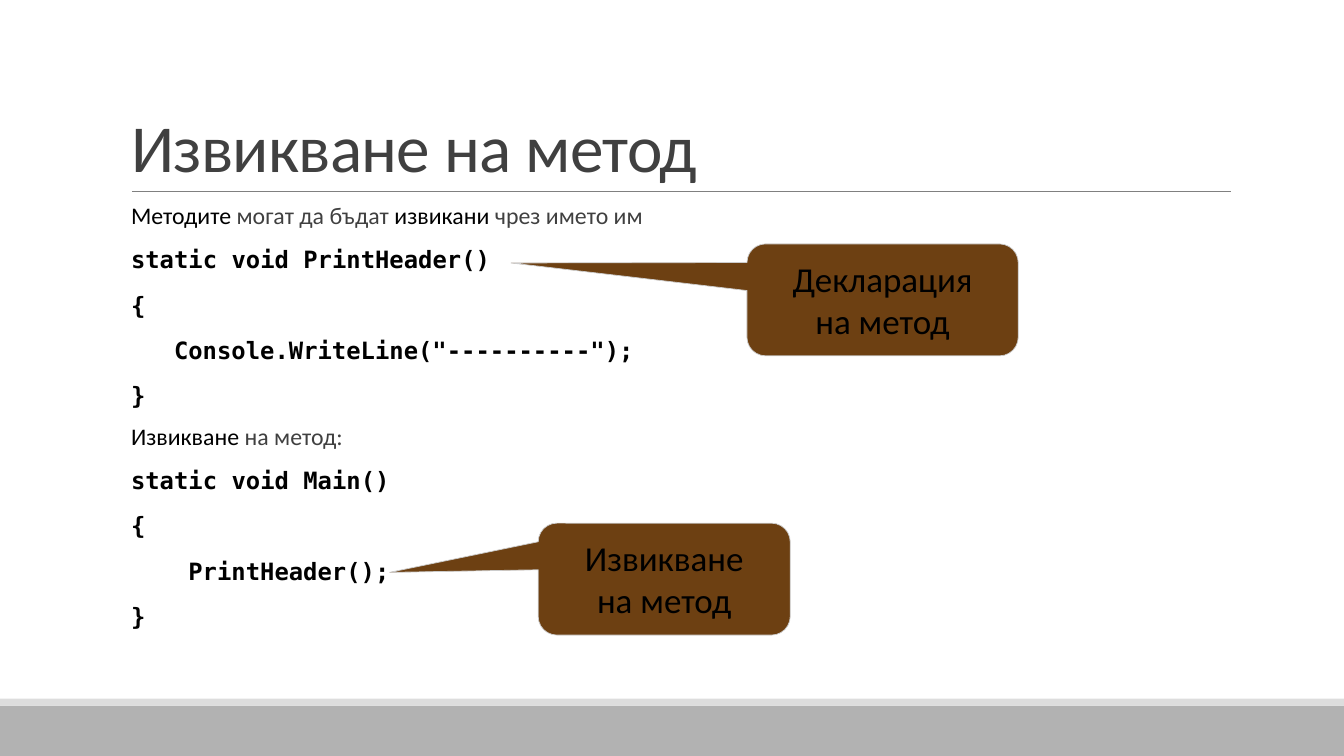
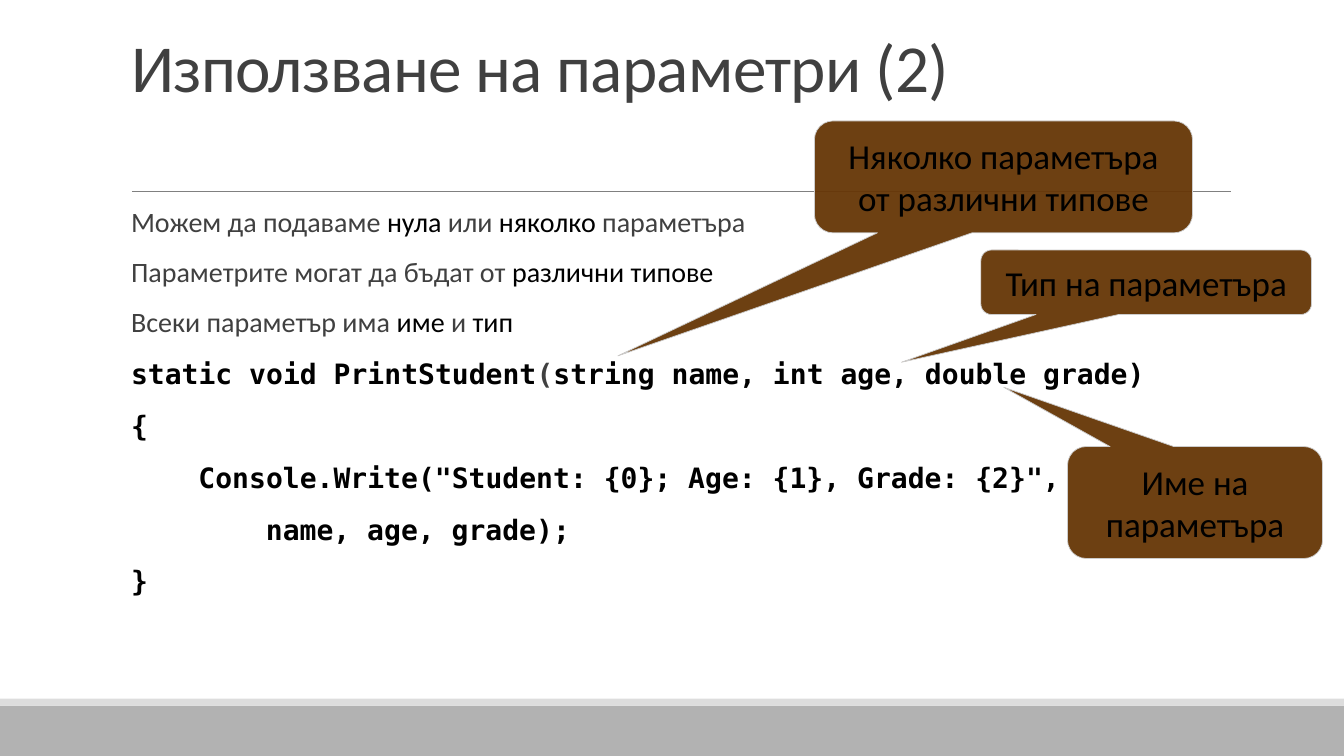
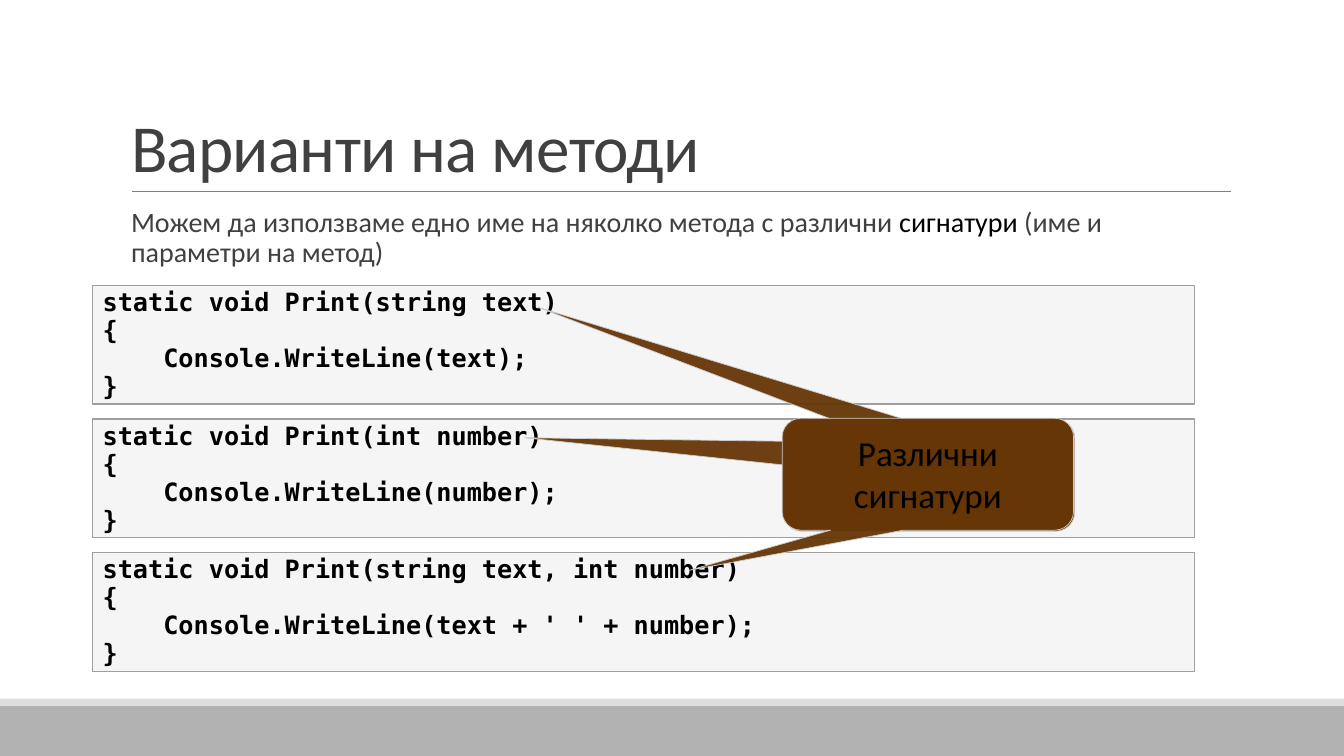
from dataclasses import dataclass

from lxml.etree import SubElement
from pptx import Presentation
from pptx.dml.color import RGBColor as RGB
from pptx.enum.shapes import MSO_CONNECTOR as LINK, MSO_SHAPE as SHAPE
from pptx.enum.text import MSO_ANCHOR as ANCHOR, MSO_AUTO_SIZE as FIT, PP_ALIGN as ALIGN
from pptx.oxml.ns import qn
from pptx.util import Inches, Pt

WIDE, HIGH = Inches(13.33), Inches(7.5)
COL, ROW = WIDE / 100, HIGH / 100  # grid of 100 columns by 100 rows

BLACK = RGB(0x00, 0x00, 0x00)
GREY = RGB(0x40, 0x40, 0x40)
BAND = RGB(0xB2, 0xB2, 0xB2)
STRIP = RGB(0xDD, 0xDD, 0xDD)
RULE = RGB(0x80, 0x80, 0x80)
BROWN = RGB(0x66, 0x36, 0x06)
EDGE = RGB(0xCC, 0xCC, 0xCC)
PANEL = RGB(0xBF, 0xBF, 0xBF)
FRAME = RGB(0x9F, 0x9F, 0x9F)

SANS, MONO = "Calibri", "DejaVu Sans Mono"
CHAR = 0.602  # width of a MONO letter, in ems
HANG = Inches(0.1)


@dataclass
class Box:
    """A place on the grid, in columns and rows."""
    left: float
    top: float
    width: float
    height: float

    def spot(self) -> tuple[int, int, int, int]:
        return (round(self.left * COL), round(self.top * ROW),
                round(self.width * COL), round(self.height * ROW))


@dataclass
class Line:
    """One paragraph; parts between asterisks take the other colour."""
    text: str
    code: bool = False
    tab: int = 0


@dataclass
class Style:
    size: int
    prose: float | Pt = 0.9
    code: float | Pt = 0.9
    before: int = 12
    after: int = 2
    left: int = HANG


@dataclass
class Call:
    text: str
    box: Box
    tip: tuple[float, float]


@dataclass
class Page:
    title: str
    style: Style
    lines: list[Line]
    calls: list[Call]
    rise: float = 0
    panels: tuple[list[Line], ...] = ()


TITLE = Box(9, 4.13, 82.5, 21.2)
BODY = Box(9, 26.93, 82.5, 58.67)
FIRST, STEP = Box(6.9, 37.73, 82, 15.73), 17.67
SNIP = Style(18, code=Pt(20), before=0, after=0, left=0)


def code(text: str, tab: int = 0) -> Line:
    return Line(text, True, tab)


def block(head: str, *inner: Line) -> list[Line]:
    return [code(head), code("{"), *inner, code("}")]


def paint(slide, kind, box: Box, fill: RGB, edge: RGB | None = None,
          thick: float = 0.5, alpha: int = 100):
    shape = slide.shapes.add_shape(kind, *box.spot())
    shape.shadow.inherit = False
    shape.fill.solid()
    shape.fill.fore_color.rgb = fill
    if alpha < 100:
        tint = shape.fill._xPr.find(qn("a:solidFill"))[0]
        SubElement(tint, qn("a:alpha")).set("val", str(alpha * 1000))
    if edge is None:
        shape.line.fill.background()
    else:
        shape.line.color.rgb = edge
        shape.line.width = Pt(thick)
    return shape


def write(frame, lines: list[Line], style: Style) -> None:
    frame.word_wrap = True
    for i, line in enumerate(lines):
        para = frame.add_paragraph() if i else frame.paragraphs[0]
        para.alignment = ALIGN.LEFT
        para.line_spacing = style.code if line.code else style.prose
        para.space_before, para.space_after = Pt(style.before), Pt(style.after)
        font = para.font
        font.name = MONO if line.code else SANS
        font.size, font.bold = Pt(style.size), line.code
        indent = style.left + Pt(line.tab * CHAR * style.size)
        para._p.get_or_add_pPr().set("marL", str(indent))
        tones = (BLACK, GREY) if line.code else (GREY, BLACK)
        for j, part in enumerate(line.text.split("*")):
            if part:
                run = para.add_run()
                run.text = part
                run.font.color.rgb = tones[j % 2]


def frame(slide) -> None:
    """Draw the bands and the rule that every slide has."""
    paint(slide, SHAPE.RECTANGLE, Box(0, 93.33, 100, 6.67), BAND)
    paint(slide, SHAPE.RECTANGLE, Box(0, 92.4, 100, 0.93), STRIP)
    x, y, wide, _ = Box(9.82, 25.33, 81.76, 0).spot()
    rule = slide.shapes.add_connector(LINK.STRAIGHT, x, y, x + wide, y)
    rule.line.color.rgb, rule.line.width = RULE, Pt(0.5)
    SubElement(rule._element.spPr, qn("a:effectLst"))


def head(slide, text: str, rise: float) -> None:
    """Set the title, its foot raised by some rows."""
    title = slide.shapes.title
    box = Box(TITLE.left, TITLE.top, TITLE.width, TITLE.height - rise)
    title.left, title.top, title.width, title.height = box.spot()
    area = title.text_frame
    area.text = text
    area.auto_size, area.vertical_anchor = FIT.NONE, ANCHOR.BOTTOM
    para = area.paragraphs[0]
    para.alignment, para.line_spacing = ALIGN.LEFT, 0.85
    para.font.name, para.font.size = SANS, Pt(48)
    para.font.color.rgb = GREY
    para.runs[0]._r.get_or_add_rPr().set("spc", "-50")


def callout(slide, call: Call) -> None:
    shape = paint(slide, SHAPE.ROUNDED_RECTANGULAR_CALLOUT, call.box,
                  BROWN, EDGE, alpha=95)
    shape.adjustments[0], shape.adjustments[1] = call.tip
    area = shape.text_frame
    area.word_wrap, area.vertical_anchor = True, ANCHOR.TOP
    area.margin_top = area.margin_bottom = Inches(0.08)
    para = area.paragraphs[0]
    para.text = call.text
    para.alignment, para.line_spacing = ALIGN.CENTER, Pt(30)
    para.font.name, para.font.size = SANS, Pt(25)
    para.font.color.rgb = BLACK


def build(deck, page: Page) -> None:
    slide = deck.slides.add_slide(deck.slide_layouts[5])
    frame(slide)
    head(slide, page.title, page.rise)
    body = slide.shapes.add_textbox(*BODY.spot()).text_frame
    body.margin_left = body.margin_right = 0
    write(body, page.lines, page.style)
    for i, lines in enumerate(page.panels):
        box = Box(FIRST.left, FIRST.top + i * STEP, FIRST.width, FIRST.height)
        panel = paint(slide, SHAPE.RECTANGLE, box, PANEL, FRAME, 1, 15)
        panel.text_frame.vertical_anchor = ANCHOR.MIDDLE
        write(panel.text_frame, lines, SNIP)
    for call in page.calls:
        callout(slide, call)


PAGES = [
    Page("Извикване на метод", Style(17, prose=0.7),
         [Line("*Методите *могат да бъдат *извикани *чрез името им"),
          *block("static void PrintHeader()",
                 code('Console.WriteLine("----------");', 3)),
          Line("*Извикване *на метод:"),
          *block("static void Main()", code("PrintHeader();", 4))],
         [Call("Декларация\nна метод", Box(55.58, 32.27, 20.18, 14.8), (-1.37, -0.33)),
          Call("Извикване\nна метод", Box(40.05, 69.2, 18.75, 14.8), (-1.09, -0.06))]),
    Page("Използване на параметри (2)", Style(20, code=Pt(23)),
         [Line("Можем да подаваме *нула *или *няколко *параметъра"),
          Line("Параметрите могат да бъдат от *различни типове"),
          Line("Всеки параметър има *име *и *тип"),
          *block("static void PrintStudent*(*string name, int age, double grade)",
                 code('Console.Write("Student: {0}; Age: {1}, Grade: {2}",', 4),
                 code("name, age, grade);", 8))],
         [Call("Няколко параметъра от различни типове",
               Box(60.6, 16, 28.13, 14.8), (-1.02, 1.6)),
          Call("Тип на параметъра", Box(72.98, 33.07, 24.6, 8.53), (-0.74, 1.24)),
          Call("Име на параметъра", Box(79.43, 59.07, 18.98, 14.8), (-0.75, -1.03))],
         rise=10.6),
    Page("Варианти на методи", Style(20),
         [Line("Можем да използваме едно име на няколко метода с различни "
               "*сигнатури* (име и параметри на метод)")],
         [Call("Различни сигнатури", box, tip) for box, tip in (
             (Box(58.5, 56.27, 20.7, 12.67), (-1.44, -0.37)),
             (Box(58.28, 55.47, 21.68, 14.8), (-1.34, -1.5)),
             (Box(58.2, 55.33, 21.68, 14.8), (-0.82, 0.86)))],
         panels=tuple(
             block(f"static void Print({args})", code(f"Console.WriteLine({out});", 4))
             for args, out in (("string text", "text"),
                               ("int number", "number"),
                               ("string text, int number", "text + ' ' + number")))),
]


def main() -> None:
    deck = Presentation()
    deck.slide_width, deck.slide_height = WIDE, HIGH
    for page in PAGES:
        build(deck, page)
    deck.save("out.pptx")


if __name__ == "__main__":
    main()
